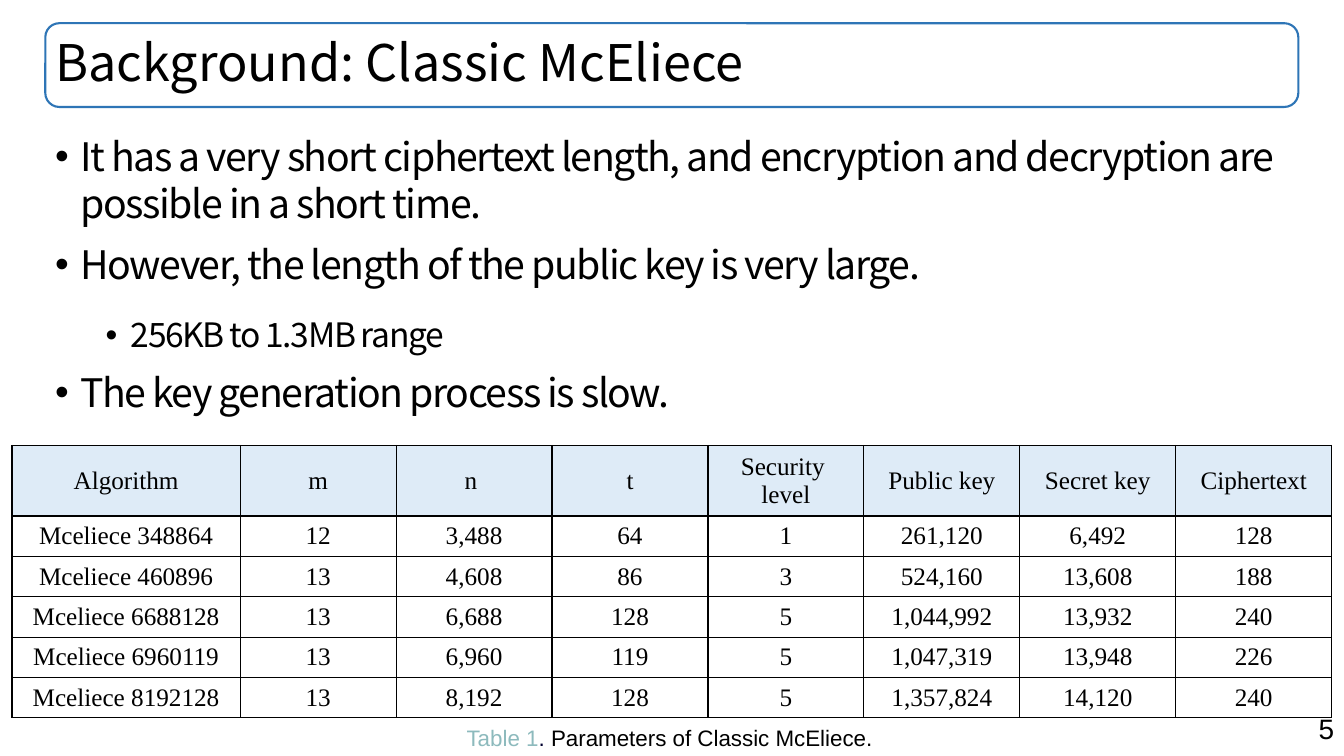
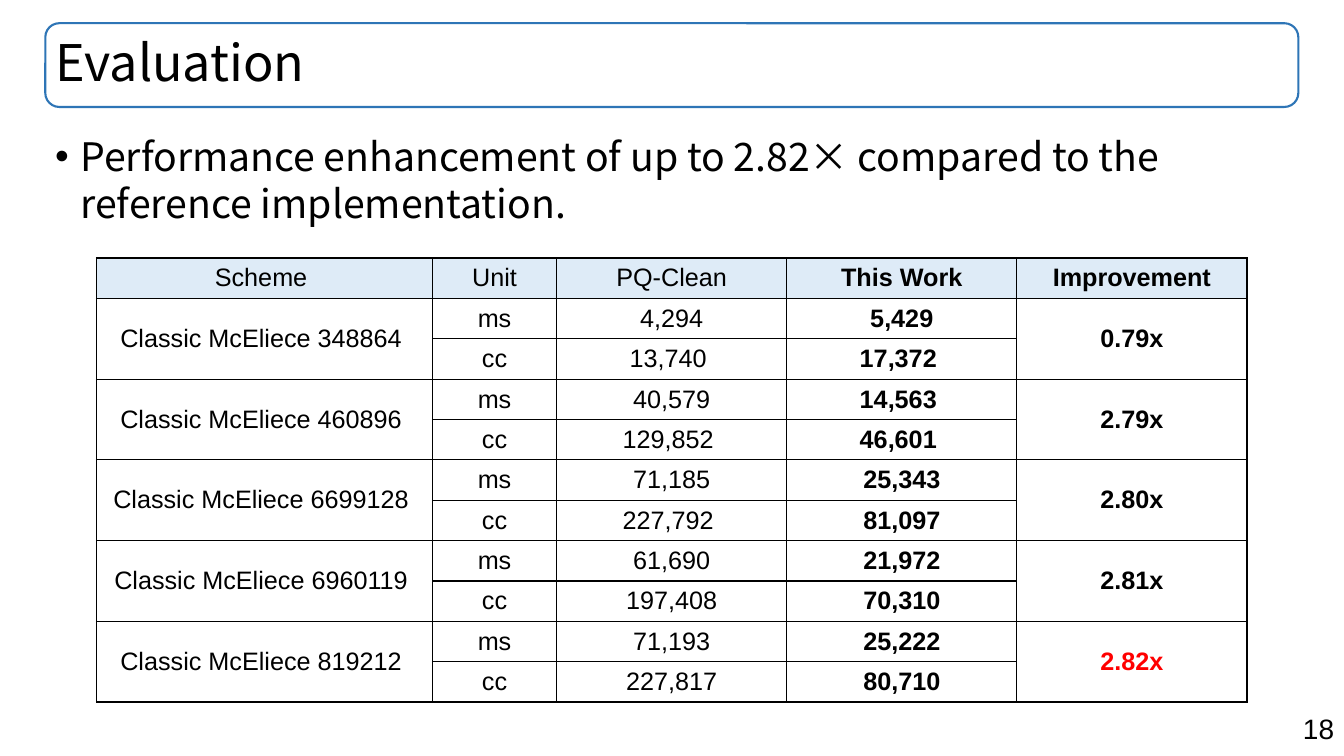
from lxml import etree
from pptx import Presentation
from pptx.dml.color import RGBColor
from pptx.enum import shapes, text
from pptx.oxml import ns
from pptx.util import Pt

BLACK = RGBColor(0x00, 0x00, 0x00)
NAVY = RGBColor(0x00, 0x00, 0x2F)
TEAL = RGBColor(0x8D, 0xBA, 0xBD)
RED = RGBColor(0xFF, 0x00, 0x00)
OUTLINE = RGBColor(0x2E, 0x75, 0xB6)
HEADER_FILL = RGBColor(0xDE, 0xEB, 0xF7)

SANS = "Noto Sans CJK KR"
SERIF = "Times New Roman"
ARIAL = "Arial"

TITLE_BOX = (32.4, 16.6, 895, 59.8)
BODY_BOX = (32.4, 90.7, 895, 398)
PAGE_BOX = (679, 505, 281, 31.5)
CAPTION_BOX = (326.2, 513.4, 308, 26.6)

PARAMETERS = [
    ["Algorithm", "m", "n ", "t", "Security \nlevel", "Public key", "Secret key", "Ciphertext"],
    ["Mceliece 348864", "12", "3,488", "64", "1", "261,120", "6,492", "128"],
    ["Mceliece 460896", "13", "4,608", "86", "3", "524,160", "13,608", "188"],
    ["Mceliece 6688128", "13", "6,688", "128", "5", "1,044,992", "13,932", "240"],
    ["Mceliece 6960119", "13", "6,960", "119", "5", "1,047,319", "13,948", "226"],
    ["Mceliece 8192128", "13", "8,192", "128", "5", "1,357,824", "14,120", "240"],
]

EVALUATION_HEADER = ["Scheme ", "Unit", "PQ-Clean", "This Work", "Improvement"]
EVALUATION = [
    ("348864", ("4,294", "5,429"), ("13,740 ", "17,372 "), "0.79x"),
    ("460896", ("40,579", "14,563 "), ("129,852 ", "46,601 "), "2.79x"),
    ("6699128", ("71,185", "25,343"), ("227,792 ", "81,097"), "2.80x"),
    ("6960119", ("61,690", "21,972"), ("197,408", "70,310"), "2.81x"),
    ("819212", ("71,193", "25,222"), ("227,817", "80,710"), "2.82x"),
]


def points(box):
    return [Pt(length) for length in box]


def write(paragraph, words, font=ARIAL, size=18, color=BLACK, bold=False,
          align=None, line=None, before=None, tracking=None):
    if align is not None:
        paragraph.alignment = align
    if line is not None:
        paragraph.line_spacing = line
    if before is not None:
        paragraph.space_before = Pt(before)
    run = paragraph.add_run()
    run.text = words
    run.font.size = Pt(size)
    run.font.bold = bold
    run.font.color.rgb = color
    run.font.name = font
    properties = run._r.get_or_add_rPr()
    etree.SubElement(properties, ns.qn("a:ea"), typeface=font)
    if tracking:
        properties.set("spc", str(int(tracking * 100)))


def add_bullet(paragraph, left):
    properties = paragraph._p.get_or_add_pPr()
    properties.set("marL", str(Pt(left)))
    properties.set("indent", str(-Pt(18)))
    etree.SubElement(properties, ns.qn("a:buFont"), typeface=ARIAL)
    etree.SubElement(properties, ns.qn("a:buChar"), char="•")


def add_title(slide, heading, box):
    band = slide.shapes.add_shape(shapes.MSO_SHAPE.ROUNDED_RECTANGLE, *points(box))
    band.shadow.inherit = False
    band.fill.background()
    band.line.color.rgb = OUTLINE
    band.line.width = Pt(1.5)
    title = slide.shapes.title
    title.left, title.top, title.width, title.height = points(box)
    frame = title.text_frame
    frame.auto_size = text.MSO_AUTO_SIZE.NONE
    frame.vertical_anchor = text.MSO_ANCHOR.MIDDLE
    write(frame.paragraphs[0], heading, font=SANS, size=36,
          align=text.PP_ALIGN.LEFT, line=0.9)


def add_page_number(slide, number, box):
    frame = slide.shapes.add_textbox(*points(box)).text_frame
    frame.word_wrap = True
    write(frame.paragraphs[0], number, size=20, align=text.PP_ALIGN.RIGHT)


def add_body(slide, points_made, box, tracking=None):
    frame = slide.shapes.add_textbox(*points(box)).text_frame
    frame.word_wrap = True
    for index, (level, words) in enumerate(points_made):
        paragraph = frame.add_paragraph() if index else frame.paragraphs[0]
        if level:
            size, left, line, before = 24, 54, 1.5, 5
        else:
            size, left, line, before = 28, 18, 1.0, 10
        paragraph.level = level
        paragraph.line_spacing = line
        paragraph.space_before = Pt(before if index else 0)
        add_bullet(paragraph, left)
        write(paragraph, words, font=SANS, size=size, tracking=tracking)


def add_borders(cell):
    properties = cell._tc.get_or_add_tcPr()
    for position, side in enumerate(("a:lnL", "a:lnR", "a:lnT", "a:lnB")):
        border = etree.Element(ns.qn(side), w=str(Pt(1)))
        fill = etree.SubElement(border, ns.qn("a:solidFill"))
        etree.SubElement(fill, ns.qn("a:srgbClr"), val=str(BLACK))
        properties.insert(position, border)


def add_grid(slide, rows, left, top, widths, heights, font, bold_from=None):
    grid = slide.shapes.add_table(len(rows), len(widths), *points(
        (left, top, sum(widths), sum(heights)))).table
    grid.first_row = grid.horz_banding = False
    for column, width in zip(grid.columns, widths):
        column.width = Pt(width)
    for row, height in zip(grid.rows, heights):
        row.height = Pt(height)
    for r, values in enumerate(rows):
        for c, value in enumerate(values):
            cell = grid.cell(r, c)
            cell.vertical_anchor = text.MSO_ANCHOR.MIDDLE
            if r == 0:
                cell.fill.solid()
                cell.fill.fore_color.rgb = HEADER_FILL
            else:
                cell.fill.background()
            add_borders(cell)
            if value is None:
                grid.cell(r - 1, c).merge(cell)
                continue
            for index, words in enumerate(value.split("\n")):
                frame = cell.text_frame
                paragraph = frame.add_paragraph() if index else frame.paragraphs[0]
                write(paragraph, words, font=font, align=text.PP_ALIGN.CENTER,
                      bold=bold_from is not None and c >= bold_from,
                      color=RED if value == "2.82x" else BLACK)


def add_caption(slide, box):
    frame = slide.shapes.add_textbox(*points(box)).text_frame
    frame.word_wrap = False
    for words, color in (("Table 1", TEAL), (". ", NAVY),
                         ("Parameters of Classic McEliece.", BLACK)):
        write(frame.paragraphs[0], words, size=16, color=color)


def start_slide(deck, heading, number):
    slide = deck.slides.add_slide(deck.slide_layouts[5])
    add_title(slide, heading, TITLE_BOX)
    add_page_number(slide, number, PAGE_BOX)
    return slide


def build_background(deck):
    slide = start_slide(deck, "Background: Classic McEliece", "5")
    add_body(slide, [
        (0, "It has a very short ciphertext length, and encryption and decryption "
            "are possible in a short time."),
        (0, "However, the length of the public key is very large."),
        (1, "256KB to 1.3MB range"),
        (0, "The key generation process is slow."),
    ], BODY_BOX, tracking=-1)
    add_grid(slide, PARAMETERS, 8.6, 318.2, [163] + [111.4] * 7,
             [47] + [27.2] * 5, SERIF)
    add_caption(slide, CAPTION_BOX)


def build_evaluation(deck):
    slide = start_slide(deck, "Evaluation", "18")
    add_body(slide, [
        (0, "Performance enhancement of up to 2.82× compared to the "
            "reference implementation."),
    ], BODY_BOX)
    rows = [EVALUATION_HEADER]
    for scheme, times, cycles, gain in EVALUATION:
        rows.append([f"Classic McEliece {scheme} ", "ms", *times, gain])
        rows.append([None, "cc", *cycles, None])
    add_grid(slide, rows, 69, 184.3, [240, 88.6] + [164.4] * 3,
             [27.4] * len(rows), ARIAL, bold_from=3)


def main():
    deck = Presentation()
    deck.slide_width, deck.slide_height = Pt(960), Pt(540)
    build_background(deck)
    build_evaluation(deck)
    deck.save("out.pptx")


if __name__ == "__main__":
    main()
